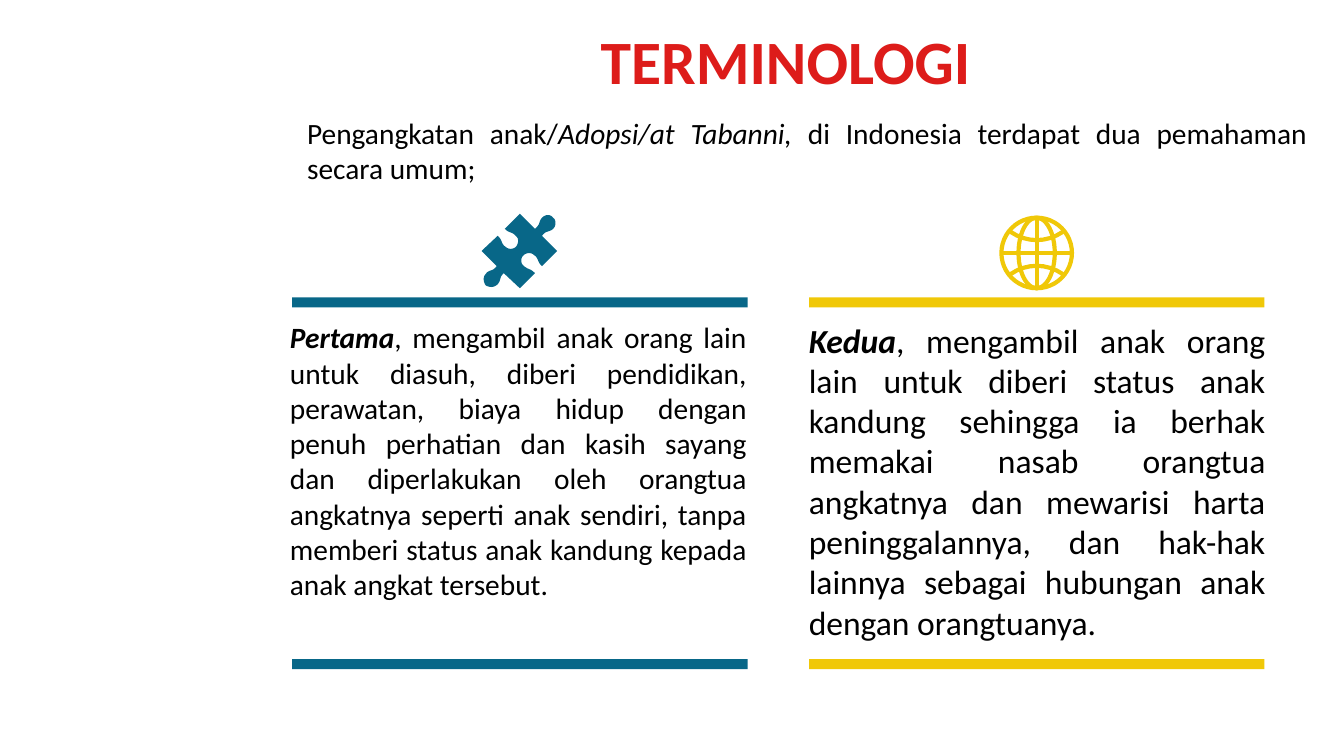
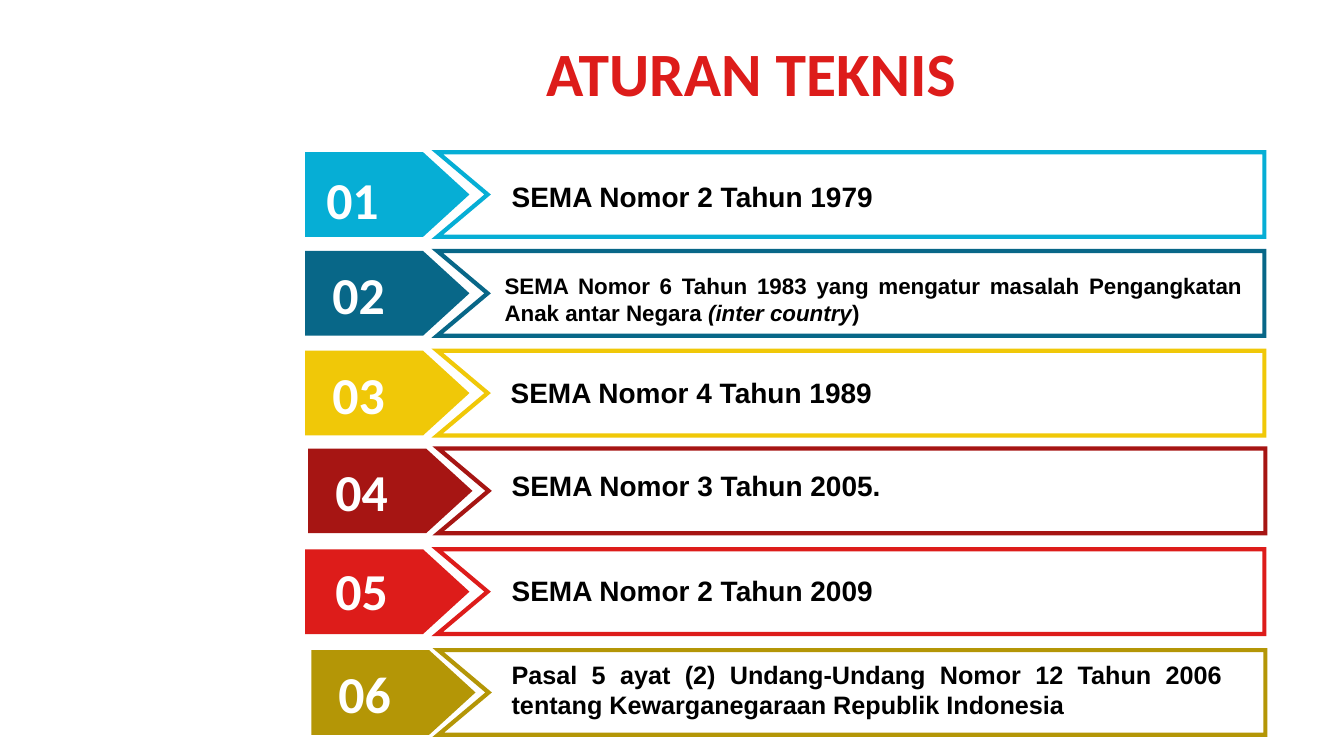
from lxml.etree import SubElement
from pptx import Presentation
from pptx.dml.color import RGBColor
from pptx.enum.shapes import MSO_CONNECTOR as CONNECTOR, MSO_SHAPE as SHAPE
from pptx.enum.text import MSO_ANCHOR as ANCHOR, PP_ALIGN as ALIGN
from pptx.oxml.ns import qn
from pptx.util import Inches, Pt

COLORS = {
    "red": "DD1C1A",
    "dark_red": "A61513",
    "blue": "086788",
    "cyan": "06AED5",
    "yellow": "F0C808",
    "olive": "B49606",
    "black": "000000",
    "white": "FFFFFF",
}
COLORS = {name: RGBColor.from_string(value) for name, value in COLORS.items()}
CURVE_STEPS = 8


def add_text(slide, box, runs, size, font="Calibri", color="black",
             align=ALIGN.JUSTIFY, anchor=ANCHOR.TOP, inset=0.05):
    shape = slide.shapes.add_textbox(*map(Inches, box))
    frame = shape.text_frame
    frame.word_wrap = True
    frame.vertical_anchor = anchor
    frame.margin_top = frame.margin_bottom = Inches(inset)
    paragraph = frame.paragraphs[0]
    paragraph.alignment = align
    for text, bold, italic in runs:
        run = paragraph.add_run()
        run.text = text
        run.font.name = font
        run.font.size = Pt(size)
        run.font.bold = bold
        run.font.italic = italic
        run.font.color.rgb = COLORS[color]


def add_outline(slide, segments, fill=None, line=None, close=True):
    points = [segments[0]]
    for segment in segments[1:]:
        if len(segment) == 2:
            points.append(segment)
            continue
        x0, y0 = points[-1]
        x1, y1, x2, y2, x3, y3 = segment
        for step in range(1, CURVE_STEPS + 1):
            t = step / CURVE_STEPS
            a, b, c, d = (1 - t) ** 3, 3 * t * (1 - t) ** 2, 3 * t * t * (1 - t), t ** 3
            points.append((a * x0 + b * x1 + c * x2 + d * x3,
                           a * y0 + b * y1 + c * y2 + d * y3))
    points = [(Inches(x), Inches(y)) for x, y in points]
    builder = slide.shapes.build_freeform(*points[0])
    builder.add_line_segments(points[1:], close=close)
    shape = builder.convert_to_shape()
    shape.shadow.inherit = False
    if fill:
        shape.fill.solid()
        shape.fill.fore_color.rgb = COLORS[fill]
    else:
        shape.fill.background()
    if line:
        shape.line.color.rgb = COLORS[line]
        shape.line.width = Pt(3)
        SubElement(shape.element.spPr.find(qn("a:ln")), qn("a:miter"), lim="800000")
    else:
        shape.line.fill.background()


presentation = Presentation()
presentation.slide_width = Inches(13.34)
presentation.slide_height = Inches(7.5)

titles = [
    ("TERMINOLOGI", (2.26, 0, 11.08, 1.29), ALIGN.CENTER),
    ("ATURAN TEKNIS", (5.32, 0.11, 7.9, 1.29), ALIGN.LEFT),
]
slides = []
for text, box, align in titles:
    slide = presentation.slides.add_slide(presentation.slide_layouts[5])
    title = slide.shapes.title
    title.left, title.top, title.width, title.height = map(Inches, box)
    title.text_frame.vertical_anchor = ANCHOR.MIDDLE
    paragraph = title.text_frame.paragraphs[0]
    paragraph.alignment = align
    paragraph.line_spacing = 0.9
    run = paragraph.add_run()
    run.text = text
    run.font.name = "Calibri"
    run.font.size = Pt(44)
    run.font.bold = True
    run.font.color.rgb = COLORS["red"]
    slides.append(slide)
terms_slide, rules_slide = slides

add_text(terms_slide, (2.95, 1.09, 10.12, 0.8), [
    ("Pengangkatan anak/", False, False),
    ("Adopsi/at Tabanni, ", False, True),
    ("di Indonesia terdapat dua pemahaman secara umum;", False, False),
], 21)

columns = [
    ("blue", 2.9, 2.78, 21, "Pertama",
     ", mengambil anak orang lain untuk diasuh, diberi pendidikan, perawatan, "
     "biaya hidup dengan penuh perhatian dan kasih sayang dan diperlakukan oleh "
     "orangtua angkatnya seperti anak sendiri, tanpa memberi status anak kandung "
     "kepada anak angkat tersebut."),
    ("yellow", 8.03, 7.93, 24, "Kedua",
     ", mengambil anak orang lain untuk diberi status anak kandung sehingga ia "
     "berhak memakai nasab orangtua angkatnya dan mewarisi harta peninggalannya, "
     "dan hak-hak lainnya sebagai hubungan anak dengan orangtuanya."),
]
for color, bar_left, text_left, size, lead, text in columns:
    for bar_top in (2.95, 6.54):
        bar = terms_slide.shapes.add_shape(
            SHAPE.RECTANGLE, Inches(bar_left), Inches(bar_top), Inches(4.52), Inches(0.1))
        bar.shadow.inherit = False
        bar.fill.solid()
        bar.fill.fore_color.rgb = COLORS[color]
        bar.line.fill.background()
    add_text(terms_slide, (text_left, 3.12, 4.73, 3.3),
             [(lead, True, True), (text, False, False)], size)

puzzle_piece = [
    (5.49, 2.16), (5.52, 2.18, 5.52, 2.23, 5.5, 2.26),
    (5.46, 2.31, 5.42, 2.28, 5.38, 2.34), (5.53, 2.49), (5.38, 2.64),
    (5.33, 2.6, 5.35, 2.56, 5.3, 2.53), (5.27, 2.5, 5.22, 2.51, 5.2, 2.53),
    (5.17, 2.55, 5.16, 2.61, 5.2, 2.64), (5.25, 2.68, 5.26, 2.66, 5.31, 2.71),
    (5.16, 2.86), (5, 2.71),
    (4.95, 2.76, 4.98, 2.77, 4.94, 2.82), (4.9, 2.86, 4.85, 2.85, 4.82, 2.83),
    (4.8, 2.8, 4.79, 2.75, 4.82, 2.72), (4.85, 2.67, 4.89, 2.7, 4.93, 2.64),
    (4.78, 2.49), (4.94, 2.34),
    (4.99, 2.38, 4.97, 2.42, 5.02, 2.45), (5.05, 2.48, 5.1, 2.47, 5.12, 2.45),
    (5.14, 2.43, 5.16, 2.37, 5.12, 2.34), (5.07, 2.29, 5.06, 2.32, 5.01, 2.27),
    (5.16, 2.12), (5.31, 2.27),
    (5.37, 2.22, 5.34, 2.21, 5.38, 2.16), (5.42, 2.12, 5.47, 2.13, 5.49, 2.16),
]
add_outline(terms_slide, puzzle_piece, fill="blue")

globe_x, globe_y, globe_radius = 10.29, 2.51, 0.35
for half_width in (globe_radius, 0.18):
    meridian = terms_slide.shapes.add_shape(
        SHAPE.OVAL, Inches(globe_x - half_width), Inches(globe_y - globe_radius),
        Inches(2 * half_width), Inches(2 * globe_radius))
    meridian.shadow.inherit = False
    meridian.fill.background()
    meridian.line.color.rgb = COLORS["yellow"]
    meridian.line.width = Pt(3)
for dx, dy in ((globe_radius, 0), (0, globe_radius)):
    axis = terms_slide.shapes.add_connector(
        CONNECTOR.STRAIGHT, Inches(globe_x - dx), Inches(globe_y - dy),
        Inches(globe_x + dx), Inches(globe_y + dy))
    axis.line.color.rgb = COLORS["yellow"]
    axis.line.width = Pt(3)
    SubElement(axis.element.spPr, qn("a:effectLst"))
for side in (-1, 1):
    end_y, bend_y = globe_y + side * 0.21, globe_y + side * 0.1
    add_outline(terms_slide, [
        (globe_x - 0.26, end_y),
        (globe_x - 0.1, bend_y, globe_x + 0.1, bend_y, globe_x + 0.26, end_y),
    ], line="yellow", close=False)

rules = [
    ("cyan", 1.51, 3.03, 4.34, (3.14, 1.66), (4.98, 1.73, 7.5), 20, ALIGN.LEFT,
     [("SEMA Nomor 2 Tahun 1979", True, False)]),
    ("blue", 2.49, 3.03, 4.34, (3.2, 2.6), (4.91, 2.65, 7.52), 16, ALIGN.JUSTIFY,
     [("SEMA Nomor 6 Tahun 1983 yang mengatur masalah Pengangkatan Anak antar Negara ",
       True, False), ("(inter country", True, True), (")", True, False)]),
    ("yellow", 3.48, 3.03, 4.34, (3.2, 3.6), (4.97, 3.68, 7.5), 20, ALIGN.LEFT,
     [("SEMA Nomor 4 Tahun 1989", True, False)]),
    ("dark_red", 4.45, 3.06, 4.35, (3.23, 4.56), (4.98, 4.6, 7.5), 20, ALIGN.JUSTIFY,
     [("SEMA Nomor 3 Tahun 2005.", True, False)]),
    ("red", 5.45, 3.03, 4.34, (3.23, 5.54), (4.98, 5.64, 7.5), 20, ALIGN.LEFT,
     [("SEMA Nomor 2 Tahun 2009", True, False)]),
    ("olive", 6.45, 3.09, 4.35, (3.26, 6.56), (4.98, 6.49, 7.25), 18, ALIGN.JUSTIFY,
     [("Pasal 5 ayat (2) Undang-Undang Nomor 12 Tahun 2006 tentang Kewarganegaraan "
       "Republik Indonesia", True, False)]),
]
row_height = 0.84
for number, rule in enumerate(rules, start=1):
    color, top, tag_left, frame_left, number_place, label_place, size, align, runs = rule
    middle, bottom = top + row_height / 2, top + row_height
    add_outline(rules_slide, [
        (tag_left, top), (tag_left + 1.17, top), (tag_left + 1.63, middle),
        (tag_left + 1.17, bottom), (tag_left, bottom),
    ], fill=color)
    add_outline(rules_slide, [
        (frame_left, top), (frame_left + 8.21, top), (frame_left + 8.21, bottom),
        (frame_left, bottom), (frame_left + 0.5, middle),
    ], fill="white", line=color)
    add_text(rules_slide, (*number_place, 0.88, 0.62), [(f"{number:02d}", True, False)], 37,
             color="white", align=ALIGN.LEFT, anchor=ANCHOR.MIDDLE, inset=0)
    label_height = 0.44 if size == 20 else 0.7
    add_text(rules_slide, (*label_place, label_height), runs, size, font="Arial", align=align)

presentation.save("out.pptx")
